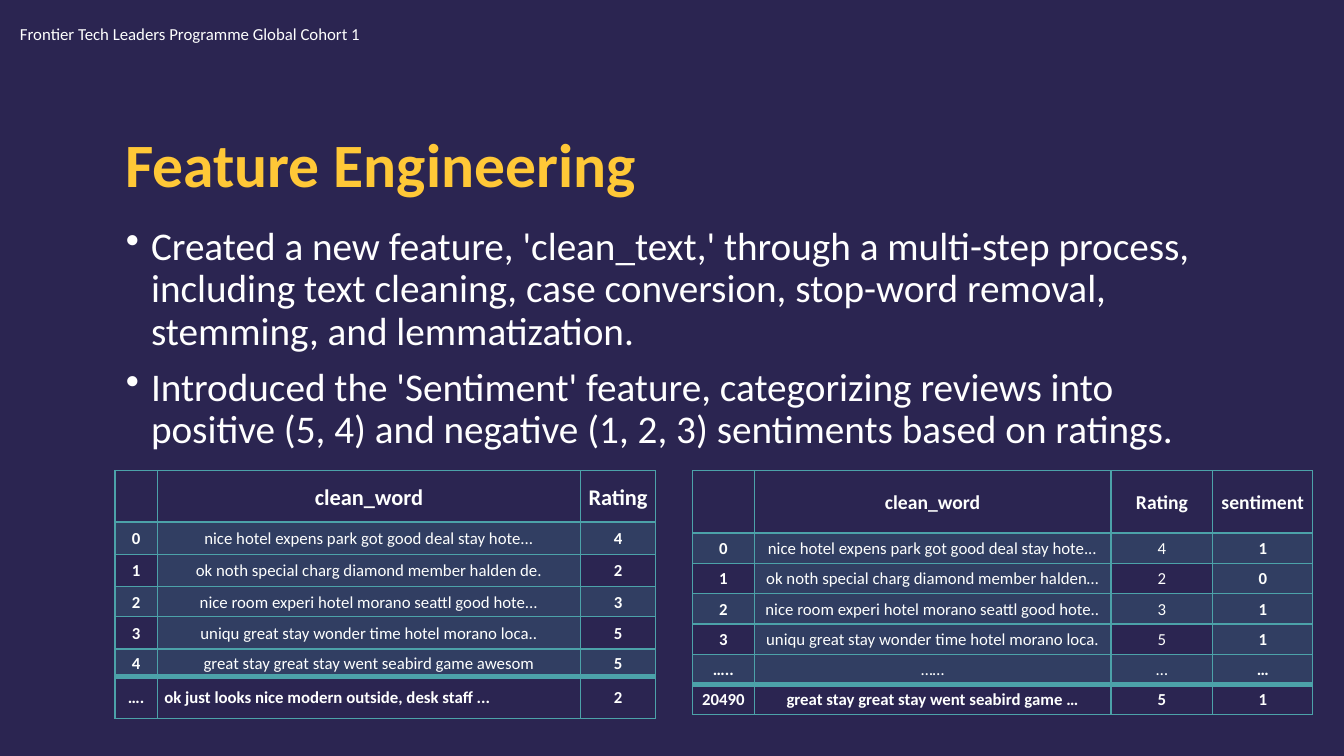
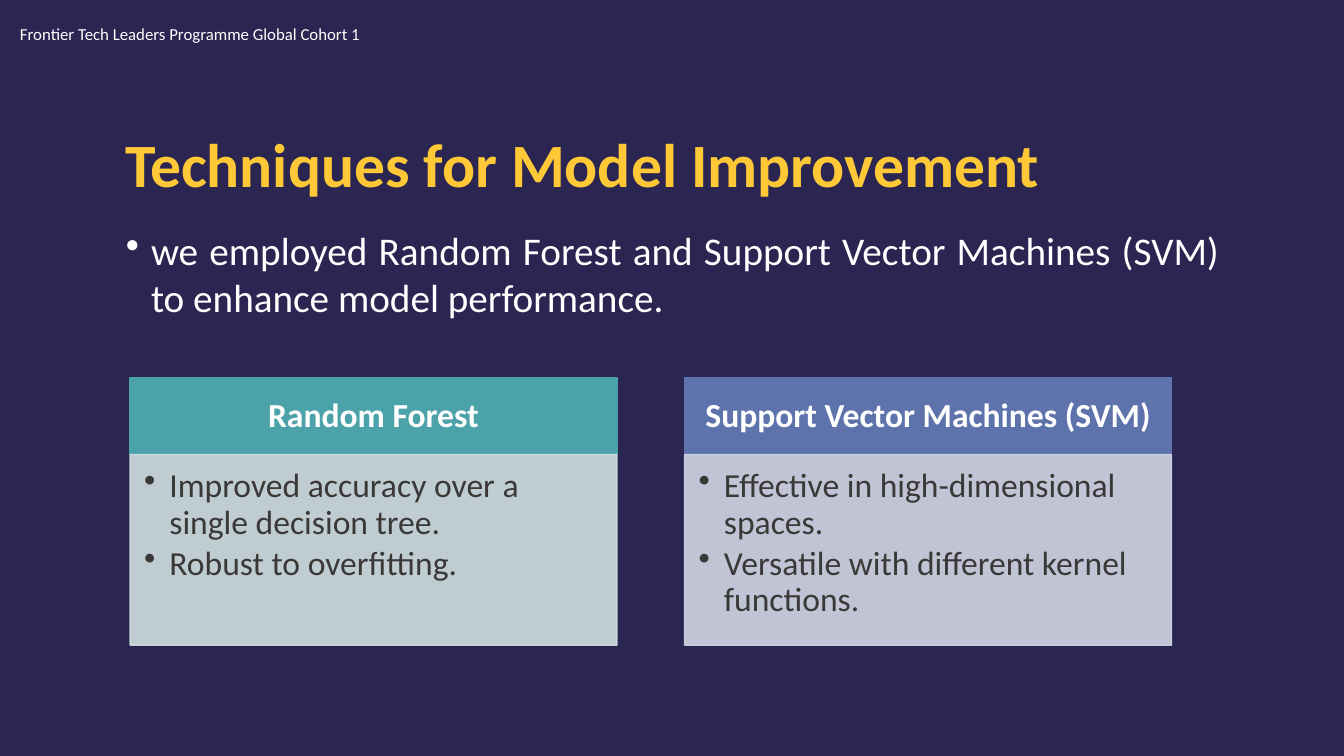
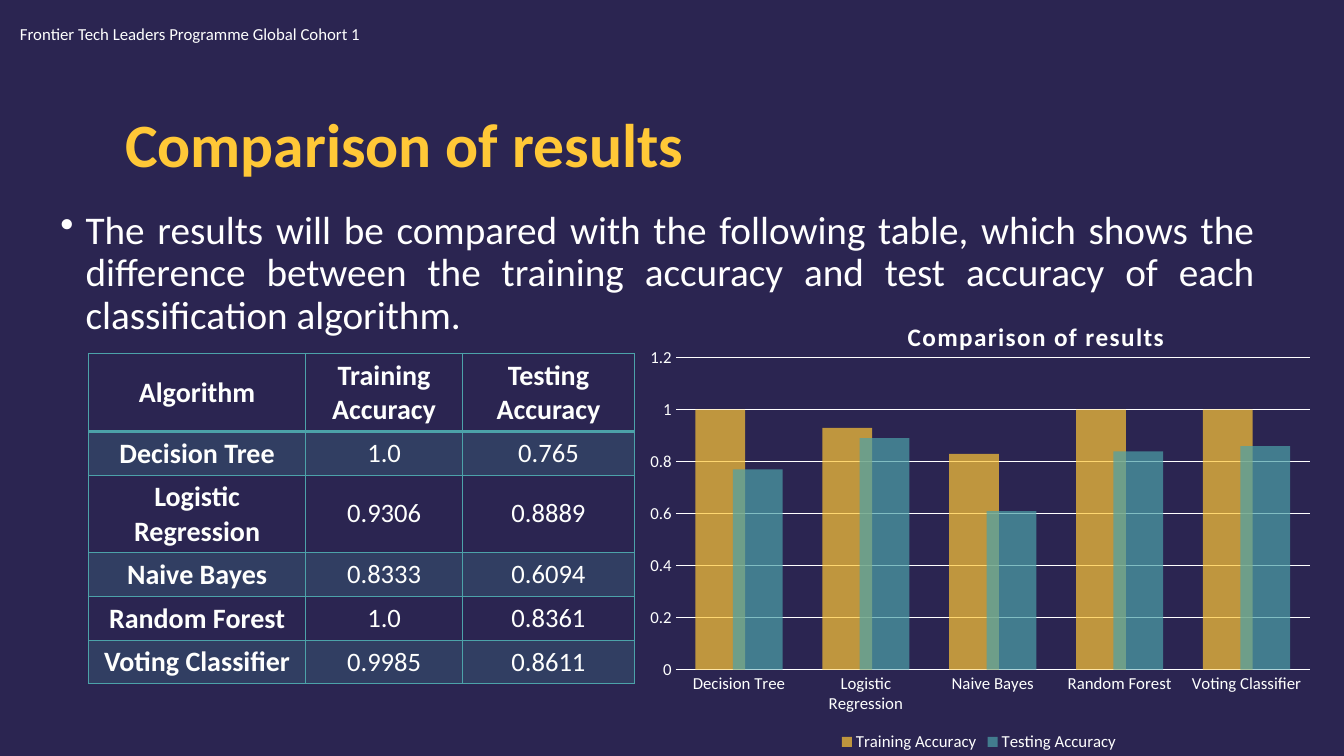
from lxml.etree import SubElement
from pptx import Presentation
from pptx.chart.data import CategoryChartData
from pptx.dml.color import RGBColor
from pptx.enum.chart import XL_CHART_TYPE, XL_LEGEND_POSITION, XL_TICK_MARK
from pptx.enum.shapes import MSO_SHAPE
from pptx.enum.text import MSO_ANCHOR, PP_ALIGN
from pptx.oxml.ns import qn
from pptx.util import Inches, Pt

NAVY, GOLD, TEAL, BLUE = "2B2551", "FFC837", "4CA2A9", "5E73AC"
WHITE, SOFT_WHITE, CHARCOAL = "FFFFFF", "FEFFFE", "3B3838"
FONT = "Calibri"
HEADER = "Frontier Tech Leaders Programme Global Cohort 1"


def color(value):
    """Turn a hex string into a colour."""
    return RGBColor.from_string(value)


def paint(fill, value):
    """Fill with one solid colour."""
    fill.solid()
    fill.fore_color.rgb = color(value)


def fade(element, percent):
    """Make every colour in an XML element partly transparent."""
    for clr in list(element.iter(qn("a:srgbClr"))):
        SubElement(clr, qn("a:alpha"), val=str(percent * 1000))


def style(font, size, value, bold=False):
    """Set a font's face, size, colour and weight."""
    font.name = FONT
    font.size = Pt(size)
    font.bold = bold
    font.color.rgb = color(value)


def place(sp, box):
    """Move and size a shape to a box in inches."""
    sp.left, sp.top, sp.width, sp.height = [Inches(v) for v in box]


def write(tf, lines, size, value, bold=False, align=PP_ALIGN.LEFT,
          spacing=1.0, before=0, after=0, bullet=False):
    """Write formatted paragraphs into a text frame."""
    tf.word_wrap = True
    for i, line in enumerate(lines):
        p = tf.paragraphs[0] if i == 0 else tf.add_paragraph()
        p.text = line
        p.alignment = align
        if bullet:
            pPr = p._p.get_or_add_pPr()
            pPr.set("marL", str(Inches(0.25)))
            pPr.set("indent", str(-Inches(0.25)))
            SubElement(pPr, qn("a:buChar"), char="•")
        p.line_spacing = spacing
        p.space_before = Pt(before if i else 0)
        p.space_after = Pt(after)
        for r in p.runs:
            style(r.font, size, value, bold)


def set_margins(part, left, top, right, bottom):
    """Set the inner margins of a cell or text frame in inches."""
    part.margin_left, part.margin_top = Inches(left), Inches(top)
    part.margin_right, part.margin_bottom = Inches(right), Inches(bottom)


def add_slide(prs, title, title_top=1.16):
    """Add a slide with its programme header and title."""
    s = prs.slides.add_slide(prs.slide_layouts[5])
    place(s.shapes.title, (1.14, title_top, 11.06, 1.01))
    tf = s.shapes.title.text_frame
    tf.vertical_anchor = MSO_ANCHOR.MIDDLE
    write(tf, [title], 44, GOLD, True, spacing=0.9)
    header = s.shapes.add_textbox(0, 0, 0, 0)
    place(header, (0.1, 0.19, 5.54, 0.3))
    write(header.text_frame, [HEADER], 12, SOFT_WHITE)
    return s


def add_body(s, box, lines, align=PP_ALIGN.LEFT, spacing=0.9):
    """Add the bulleted main text."""
    sp = s.shapes.add_textbox(0, 0, 0, 0)
    place(sp, box)
    write(sp.text_frame, lines, 28, WHITE, align=align, spacing=spacing,
          before=10, bullet=True)


def set_borders(cell, top, bottom):
    """Draw teal borders, with the given top and bottom widths."""
    tcPr = cell._tc.get_or_add_tcPr()
    for side, width in (("L", 1), ("R", 1), ("T", top), ("B", bottom)):
        ln = SubElement(tcPr, qn(f"a:ln{side}"), w=str(Pt(width)))
        SubElement(SubElement(ln, qn("a:solidFill")), qn("a:srgbClr"), val=TEAL)


def add_grid(s, box, cols, heights, rows, head_size, bold_cols, sizes,
             total_row=False, band_cols=False, compact=False):
    """Add a bordered table with tinted bands."""
    frame = s.shapes.add_table(len(rows), len(cols), *[Inches(v) for v in box])
    table = frame.table
    table.first_row = table.horz_banding = False
    for col, width in zip(table.columns, cols):
        col.width = Inches(width)
    for row, height in zip(table.rows, heights):
        row.height = Inches(height)
    last = len(rows) - 1 if total_row else len(rows)
    rules = [1, 2] + [1] * (len(rows) - 1)
    if total_row:
        rules[last] = 4
    for i, texts in enumerate(rows):
        for j, text in enumerate(texts):
            cell = table.cell(i, j)
            set_borders(cell, rules[i], rules[i + 1])
            if 0 < i < last and (i % 2 or band_cols and j % 2):
                paint(cell.fill, TEAL)
                fade(cell._tc.tcPr.find(qn("a:solidFill")), 20)
            else:
                cell.fill.background()
            cell.vertical_anchor = MSO_ANCHOR.MIDDLE
            bold = i in (0, last) or j in bold_cols
            size = head_size if i == 0 else sizes[j]
            if compact:
                set_margins(cell, 0.07, 0, 0.07, 0)
            write(cell.text_frame, [text], size, SOFT_WHITE, bold,
                  PP_ALIGN.CENTER, 1.07 if compact else 1.0,
                  after=8 if compact else 0)
    return table


def add_card(s, box, head, lines, head_fill, body_fill):
    """Add a heading bar above a panel of bullets."""
    x, y, w, h = box
    head_h = 0.76
    parts = ((y, head_h, head_fill), (y + head_h, h - head_h, body_fill))
    bar, panel = [s.shapes.add_shape(MSO_SHAPE.RECTANGLE, Inches(x), Inches(top),
                                     Inches(w), Inches(height))
                  for top, height, _ in parts]
    for sp, (_, _, value) in zip((bar, panel), parts):
        sp.shadow.inherit = False
        paint(sp.fill, value)
        paint(sp.line.fill, value)
        sp.line.width = Pt(1)
    fade(panel._element.spPr, 90)
    set_margins(bar.text_frame, 0.19, 0.11, 0.19, 0.11)
    bar.text_frame.vertical_anchor = MSO_ANCHOR.MIDDLE
    write(bar.text_frame, [head], 24, WHITE, True, PP_ALIGN.CENTER, 0.9)
    set_margins(panel.text_frame, 0.14, 0.14, 0.19, 0.21)
    panel.text_frame.vertical_anchor = MSO_ANCHOR.TOP
    write(panel.text_frame, lines, 24, CHARCOAL, spacing=0.9, after=3.6,
          bullet=True)


def set_layout(parent, index, **values):
    """Give a chart part a manual layout, as fractions of the chart."""
    old = parent.find(qn("c:layout"))
    if old is not None:
        parent.remove(old)
    layout = SubElement(parent, qn("c:layout"))
    parent.insert(index, layout)
    manual = SubElement(layout, qn("c:manualLayout"))
    if "w" in values:
        SubElement(manual, qn("c:layoutTarget"), val="inner")
    for axis in "xy":
        SubElement(manual, qn(f"c:{axis}Mode"), val="edge")
    for key, value in values.items():
        SubElement(manual, qn(f"c:{key}"), val=str(value))


def add_accuracy_chart(s, box, title, cats, series):
    """Add the column chart of accuracies."""
    data = CategoryChartData()
    data.categories = cats
    for name, values, _ in series:
        data.add_series(name, values)
    chart = s.shapes.add_chart(XL_CHART_TYPE.COLUMN_CLUSTERED,
                               *[Inches(v) for v in box], data).chart
    style(chart.font, 12, SOFT_WHITE)
    chart.has_title = True
    p = chart.chart_title.text_frame.paragraphs[0]
    p.text = title
    style(p.runs[0].font, 18, SOFT_WHITE, True)
    p.runs[0]._r.get_or_add_rPr().set("spc", "100")
    set_layout(chart.chart_title._element, 1, x=0.39, y=0.08)
    plot = chart.plots[0]
    set_layout(chart._chartSpace.chart.plotArea, 0, x=0.06, y=0.17, w=0.92, h=0.65)
    plot.gap_width, plot.overlap = 80, 25
    plot.vary_by_categories = False
    for ser, (_, _, value) in zip(plot.series, series):
        paint(ser.format.fill, value)
        fade(ser._element.spPr, 70)
    for axis in (chart.category_axis, chart.value_axis):
        axis.major_tick_mark = axis.minor_tick_mark = XL_TICK_MARK.NONE
        style(axis.tick_labels.font, 12, SOFT_WHITE)
    paint(chart.category_axis.format.line.fill, WHITE)
    chart.category_axis.format.line.width = Pt(1.25)
    axis = chart.value_axis
    axis.minimum_scale, axis.maximum_scale, axis.major_unit = 0, 1.2, 0.2
    axis.format.line.fill.background()
    paint(axis.major_gridlines.format.line.fill, WHITE)
    axis.major_gridlines.format.line.width = Pt(0.75)
    chart.has_legend = True
    chart.legend.position = XL_LEGEND_POSITION.BOTTOM
    chart.legend.include_in_layout = False
    style(chart.legend.font, 12, SOFT_WHITE)


def build_features(prs):
    """Build the feature engineering slide."""
    s = add_slide(prs, "Feature Engineering")
    add_body(s, (1.15, 2.2, 11.04, 2.4), [
        "Created a new feature, 'clean_text,' through a multi-step process, including "
        "text cleaning, case conversion, stop-word removal, stemming, and lemmatization.",
        "Introduced the 'Sentiment' feature, categorizing reviews into positive (5, 4) "
        "and negative (1, 2, 3) sentiments based on ratings.",
    ])
    add_grid(s, (6.87, 4.67, 6.15, 2.45), (0.61, 3.54, 1.01, 0.99),
             [0.62] + [0.3] * 6, [
        ("", "clean_word", "Rating", "sentiment"),
        ("0", "nice hotel expens park got good deal stay hote...", "4", "1"),
        ("1", "ok noth special charg diamond member halden…", "2", "0"),
        ("2", "nice room experi hotel morano seattl good hote..", "3", "1"),
        ("3", "uniqu great stay wonder time hotel morano loca.", "5", "1"),
        ("…..", "……", "…", "…"),
        ("20490", "great stay great stay went seabird game …", "5", "1"),
    ], 14, (0, 3), [12] * 4, total_row=True, band_cols=True, compact=True)
    words = add_grid(s, (1.14, 4.67, 5.36, 2.45), (0.42, 4.2, 0.74),
                     (0.51, 0.32, 0.32, 0.3, 0.32, 0.27, 0.42), [
        ("", "clean_word", "Rating"),
        ("0", "nice hotel expens park got good deal stay hote...", "4"),
        ("1", "ok noth special charg diamond member halden de.", "2"),
        ("2", "nice room experi hotel morano seattl good hote...", "3"),
        ("3", "uniqu great stay wonder time hotel morano loca..", "5"),
        ("4", "great stay great stay went seabird game awesom", "5"),
        ("….", "ok just looks nice modern outside, desk staff ...", "2"),
    ], 16, (0, 2), [12] * 3, total_row=True, band_cols=True, compact=True)
    words.cell(6, 1).text_frame.paragraphs[0].alignment = PP_ALIGN.LEFT


def build_techniques(prs):
    """Build the model improvement slide."""
    s = add_slide(prs, "Techniques for Model Improvement")
    add_body(s, (1.15, 2.2, 11.04, 1.41), [
        "we employed Random Forest and Support Vector Machines (SVM) to enhance "
        "model performance.",
    ], PP_ALIGN.JUSTIFY, 1.0)
    cards = (
        ("Random Forest", ["Improved accuracy over a single decision tree.",
                           "Robust to overfitting."], TEAL, "D0E0E2"),
        ("Support Vector Machines (SVM)",
         ["Effective in high-dimensional spaces.",
          "Versatile with different kernel functions."], BLUE, "D2D6E3"),
    )
    for i, card in enumerate(cards):
        add_card(s, (1.29 + 5.5 * i, 3.75, 4.83, 2.65), *card)


def build_results(prs):
    """Build the comparison slide."""
    title = "Comparison of results"
    s = add_slide(prs, title, 0.96)
    add_body(s, (0.5, 2.04, 12.04, 1.27), [
        "The results will be compared with the following table, which shows the "
        "difference between the training accuracy and test accuracy of each "
        "classification algorithm.",
    ], PP_ALIGN.JUSTIFY)
    rows = [
        ("Algorithm", "Training Accuracy", "Testing Accuracy"),
        ("Decision Tree", "1.0", "0.765"),
        ("Logistic Regression", "0.9306", "0.8889"),
        ("Naive Bayes", "0.8333", "0.6094"),
        ("Random Forest", "1.0", "0.8361"),
        ("Voting Classifier", "0.9985", "0.8611"),
    ]
    add_grid(s, (0.88, 3.51, 5.41, 3.27), (2.15, 1.56, 1.7),
             (0.77, 0.43, 0.77, 0.43, 0.43, 0.43), rows, 20, (0,), (20, 19, 19))
    series = [(rows[0][j], [round(float(row[j]), 2) for row in rows[1:]], value)
              for j, value in ((1, "FEC736"), (2, TEAL))]
    add_accuracy_chart(s, (6.29, 2.74, 6.84, 4.76), title,
                       [row[0] for row in rows[1:]], series)


def main():
    """Build and save the presentation."""
    prs = Presentation()
    prs.slide_width, prs.slide_height = Inches(13.33), Inches(7.5)
    paint(prs.slide_master.background.fill, NAVY)
    build_features(prs)
    build_techniques(prs)
    build_results(prs)
    prs.save("out.pptx")


if __name__ == "__main__":
    main()
